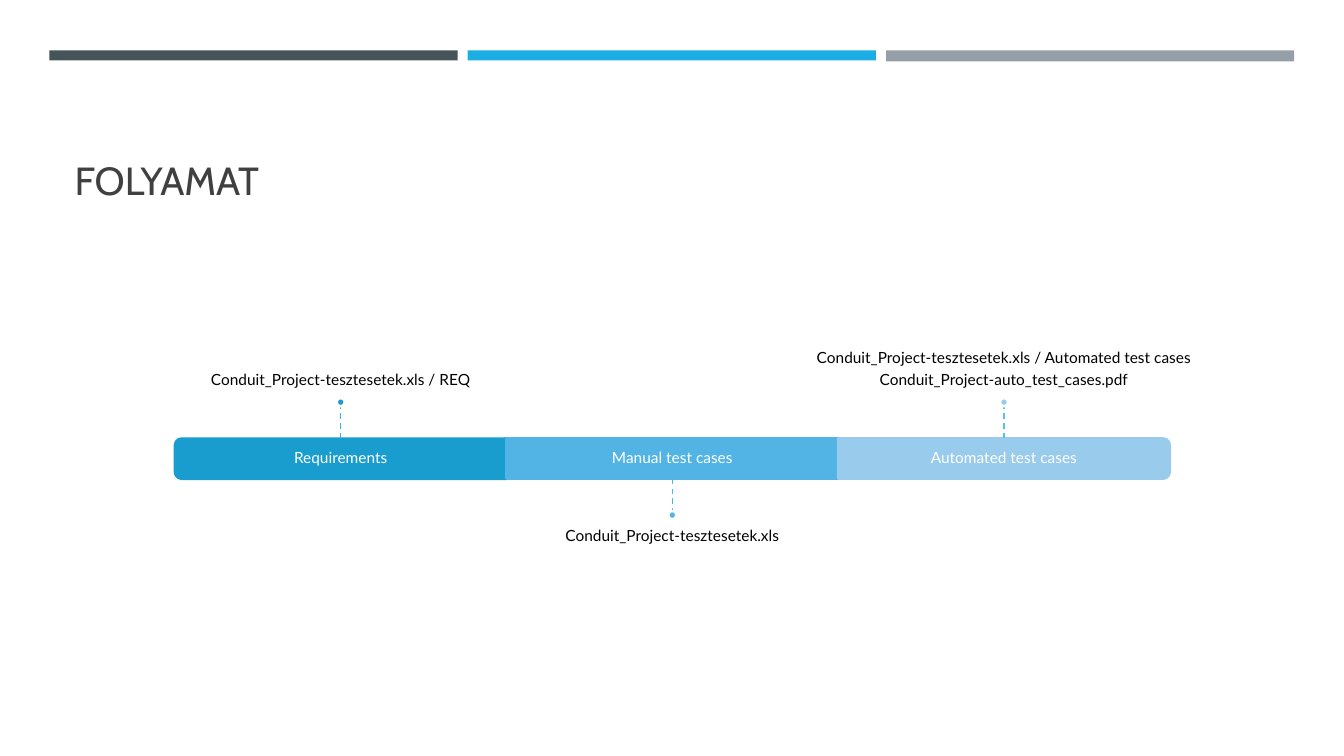
from dataclasses import dataclass

from lxml.etree import SubElement
from pptx import Presentation
from pptx.dml.color import RGBColor
from pptx.enum.dml import MSO_LINE
from pptx.enum.shapes import MSO_CONNECTOR, MSO_SHAPE
from pptx.enum.text import MSO_ANCHOR, PP_ALIGN
from pptx.oxml.ns import qn
from pptx.shapes.autoshape import Shape
from pptx.slide import Slide
from pptx.text.text import TextFrame
from pptx.util import Emu, Pt

SCALE = 9144  # EMU per px, 100 px to the inch
MID, PITCH = 338, 329  # centre of the first step, step width
TOP, TALL = 435, 40  # bar
REACH, DOT = 32, 8  # leader length, dot size
WIDE, HIGH = 548, 139  # note box


@dataclass
class Step:
    name: str
    notes: list[str]
    fill: str
    line: str
    turn: int  # rotation of a rounded end, 0 for a plain box
    above: bool


STEPS = [
    Step("Requirements", ["Conduit_Project-tesztesetek.xls / REQ"],
         "199DCF", "36B3E9", 270, True),
    Step("Manual test cases", ["Conduit_Project-tesztesetek.xls"],
         "52B3E5", "48B8EC", 0, False),
    Step("Automated test cases",
         ["Conduit_Project-tesztesetek.xls / Automated test cases",
          "Conduit_Project-auto_test_cases.pdf"],
         "99CBEC", "5ABEEF", 90, True),
]
BANDS = [("465359", 10), ("1CADE4", 10), ("969FA7", 11)]


def px(num: float) -> Emu:
    return Emu(round(num * SCALE))


def rgb(code: str) -> RGBColor:
    return RGBColor.from_string(code)


def add_box(slide: Slide, kind: MSO_SHAPE, x: float, y: float, w: float,
            h: float, fill: str, line: str = "") -> Shape:
    box = slide.shapes.add_shape(kind, px(x), px(y), px(w), px(h))
    box.shadow.inherit = False
    box.fill.solid()
    box.fill.fore_color.rgb = rgb(fill)
    if line:
        box.line.color.rgb = rgb(line)
        box.line.width = Pt(1.75)
    else:
        box.line.fill.background()
    return box


def add_run(frame: TextFrame, row: int, text: str, font: str, size: int,
            color: str, align: PP_ALIGN) -> None:
    para = frame.paragraphs[0] if row == 0 else frame.add_paragraph()
    para.alignment = align
    para.line_spacing = 0.9
    run = para.add_run()
    run.text = text
    run.font.name = font
    run.font.size = Pt(size)
    run.font.color.rgb = rgb(color)


def add_text(slide: Slide, x: float, y: float, w: float, h: float,
             rows: list[str], color: str, anchor: MSO_ANCHOR,
             pads: tuple[int, int, int, int]) -> None:
    frame = slide.shapes.add_textbox(px(x), px(y), px(w), px(h)).text_frame
    frame.word_wrap = True
    frame.vertical_anchor = anchor
    (frame.margin_left, frame.margin_top,
     frame.margin_right, frame.margin_bottom) = map(px, pads)
    for row, text in enumerate(rows):
        add_run(frame, row, text, "Lato", 11, color, PP_ALIGN.CENTER)
        frame.paragraphs[row].space_after = Pt(3.85)


def add_step(slide: Slide, step: Step, mid: int) -> None:
    left = mid - PITCH / 2

    # Bar segment: the rounded ends are upright shapes turned sideways
    if step.turn:
        bar = add_box(slide, MSO_SHAPE.ROUND_2_SAME_RECTANGLE,
                      mid - TALL / 2, TOP + TALL / 2 - PITCH / 2,
                      TALL, PITCH, step.fill, step.fill)
        bar.rotation = step.turn
    else:
        bar = add_box(slide, MSO_SHAPE.RECTANGLE, left, TOP, PITCH, TALL,
                      step.fill, step.fill)
    add_text(slide, left, TOP, PITCH, TALL, [step.name], "FFFFFF",
             MSO_ANCHOR.MIDDLE, (9, 9, 9, 9))

    # Note above or below the bar
    if step.above:
        start, end = TOP, TOP - REACH
        dot = end - DOT
        note, anchor, pads = dot - HIGH, MSO_ANCHOR.BOTTOM, (0, 0, 0, 9)
    else:
        start, end = TOP + TALL, TOP + TALL + REACH
        dot = end
        note, anchor, pads = dot + DOT, MSO_ANCHOR.TOP, (0, 9, 0, 0)
    add_text(slide, mid - WIDE / 2, note, WIDE, HIGH, step.notes, "000000",
             anchor, pads)

    # Dashed leader and its dot
    lead = slide.shapes.add_connector(
        MSO_CONNECTOR.STRAIGHT, px(mid), px(start), px(mid), px(end))
    lead.line.color.rgb = rgb(step.line)
    lead.line.width = Pt(1)
    lead.line.dash_style = MSO_LINE.DASH
    SubElement(lead._element.spPr, qn("a:effectLst"))
    if not step.turn:
        lead.begin_connect(bar, 0 if step.above else 2)
    add_box(slide, MSO_SHAPE.OVAL, mid - DOT / 2, dot, DOT, DOT,
            step.fill, "FFFFFF")


def main() -> None:
    deck = Presentation()
    deck.slide_width, deck.slide_height = Emu(12192000), px(750)
    slide = deck.slides.add_slide(deck.slide_layouts[5])

    # Top bands
    for col, (fill, high) in enumerate(BANDS):
        add_box(slide, MSO_SHAPE.RECTANGLE, 49 + 415 * col, 50, 405, high,
                fill)

    # Title
    title = slide.shapes.title
    title.left, title.top = px(64), px(77)
    title.width, title.height = px(1206), px(130)
    title.text_frame.vertical_anchor = MSO_ANCHOR.BOTTOM
    add_run(title.text_frame, 0, "FOLYAMAT", "Cabin", 28, "404040",
            PP_ALIGN.LEFT)

    # Process steps
    for col, step in enumerate(STEPS):
        add_step(slide, step, MID + PITCH * col)

    deck.save("out.pptx")


if __name__ == "__main__":
    main()
